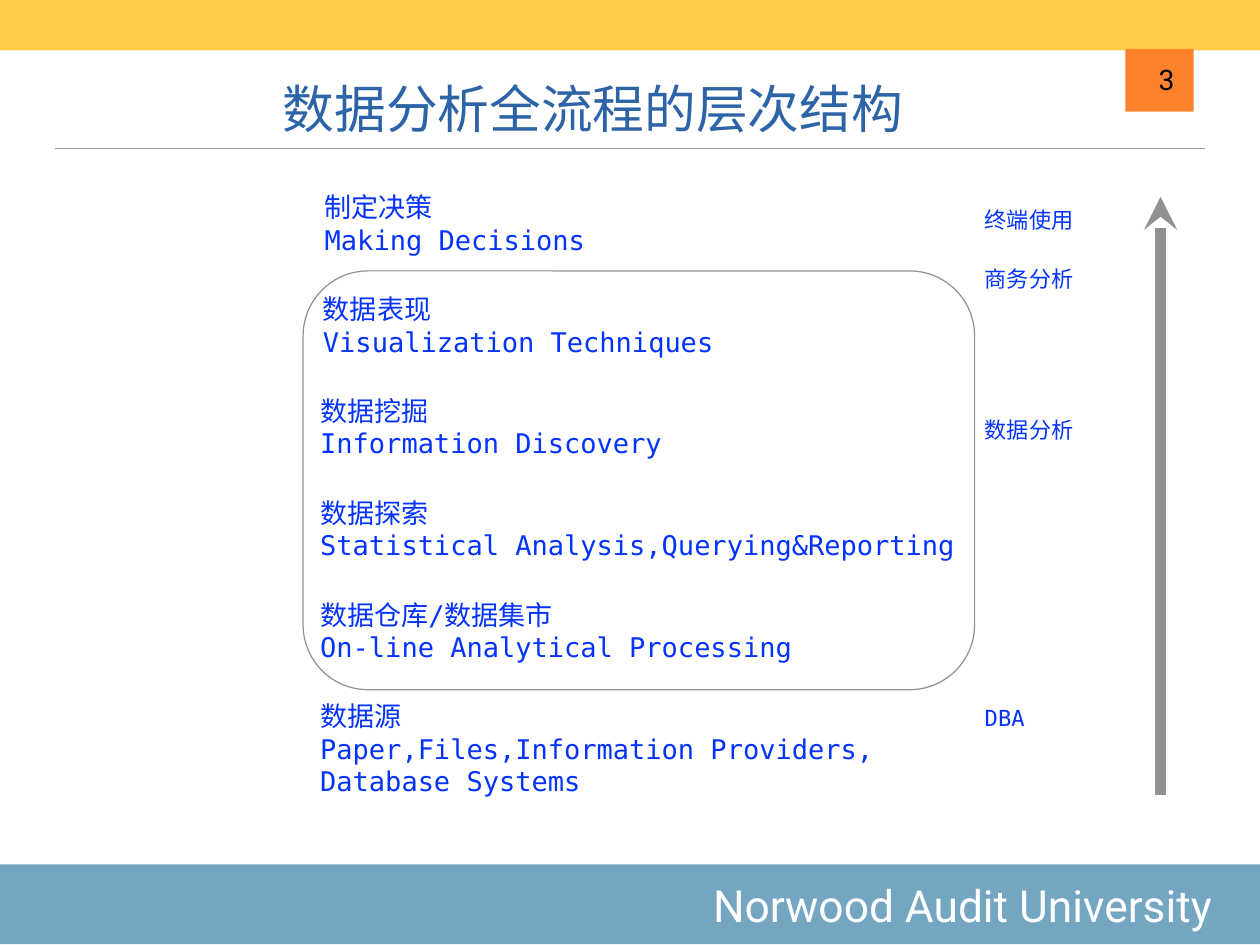
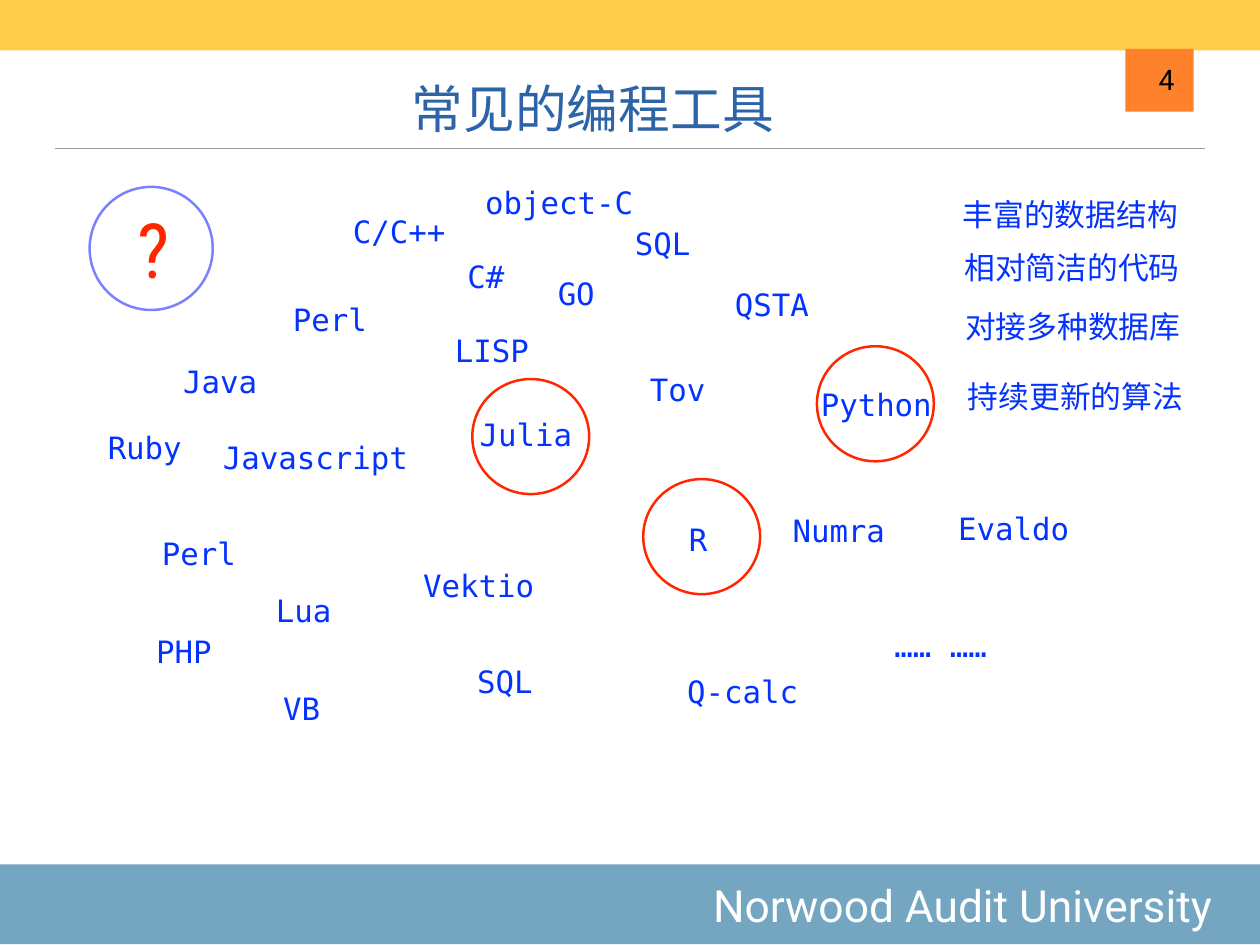
from lxml import etree
from pptx import Presentation, util as u
from pptx.dml.color import RGBColor
from pptx.enum import shapes, text
from pptx.oxml.ns import qn

ALIGN = text.PP_ALIGN
ANCHOR = text.MSO_ANCHOR
SHAPE = shapes.MSO_SHAPE


def rgb(value):
    return RGBColor.from_string(value)


def put_text(frame, content, size=25, font="DejaVu Sans Mono", color="0433FF",
             align=ALIGN.LEFT, anchor=ANCHOR.MIDDLE, wrap=True, right_inset=0.14):
    frame.word_wrap = wrap
    frame.vertical_anchor = anchor
    frame.margin_left = frame.margin_top = frame.margin_bottom = u.Cm(0.14)
    frame.margin_right = u.Cm(right_inset)
    for index, line in enumerate(content.split("\n")):
        paragraph = frame.paragraphs[0] if index == 0 else frame.add_paragraph()
        paragraph.alignment = align
        run = paragraph.add_run()
        run.text = line
        run.font.size = u.Pt(size)
        run.font.name = font
        run.font.color.rgb = rgb(color)


class Deck:
    WIDTH, HEIGHT = 36.12, 27.1
    HEADING_FONT = "Roboto"
    YELLOW, ORANGE, STEEL = "FECC49", "FE812C", "74A6C2"
    TITLE, RULE, GRAY, RED, LILAC = "2C64A7", "9A9A9A", "919191", "FF2600", "7A81FF"

    def __init__(self):
        self.presentation = Presentation()
        self.presentation.slide_width = u.Cm(self.WIDTH)
        self.presentation.slide_height = u.Cm(self.HEIGHT)
        self.slide = None

    def new_slide(self, title, number):
        self.slide = self.presentation.slides.add_slide(self.presentation.slide_layouts[6])
        self.line((1.57, 4.27), (34.54, 4.27), self.RULE, 1)
        footer = self.shape(SHAPE.RECTANGLE, -0.05, 24.79, 36.22, 2.29, fill=self.STEEL)
        put_text(footer.text_frame, "Norwood Audit University", size=36, font=self.HEADING_FONT,
                 color="FFFFFF", align=ALIGN.RIGHT, right_inset=1.42)
        self.shape(SHAPE.RECTANGLE, -0.05, 0, 36.22, 1.45, fill=self.YELLOW)
        self.shape(SHAPE.RECTANGLE, 32.26, 1.4, 1.96, 1.8, fill=self.ORANGE)
        self.label(title, 2.11, 1.57, 29.77, 2.54, size=42, font=self.HEADING_FONT,
                   color=self.TITLE, align=ALIGN.CENTER, anchor=ANCHOR.BOTTOM)
        self.label(str(number), 33.05, 1.65, 0.76, 1.24, size=23, font=self.HEADING_FONT,
                   color="000000", align=ALIGN.RIGHT, anchor=ANCHOR.BOTTOM, wrap=False)

    def label(self, content, left, top, width, height, **style):
        box = self.slide.shapes.add_textbox(u.Cm(left), u.Cm(top), u.Cm(width), u.Cm(height))
        put_text(box.text_frame, content, **style)

    def shape(self, kind, left, top, width, height, fill=None, outline=None, weight=1):
        item = self.slide.shapes.add_shape(kind, u.Cm(left), u.Cm(top), u.Cm(width), u.Cm(height))
        item.shadow.inherit = False
        if fill:
            item.fill.solid()
            item.fill.fore_color.rgb = rgb(fill)
        else:
            item.fill.background()
        if outline:
            item.line.color.rgb = rgb(outline)
            item.line.width = u.Pt(weight)
        else:
            item.line.fill.background()
        return item

    def line(self, start, end, color, weight, arrow=None):
        ends = [u.Cm(value) for value in (*start, *end)]
        connector = self.slide.shapes.add_connector(shapes.MSO_CONNECTOR.STRAIGHT, *ends)
        connector.line.color.rgb = rgb(color)
        connector.line.width = u.Pt(weight)
        if arrow:
            etree.SubElement(connector.line._get_or_add_ln(), qn("a:tailEnd"), type=arrow)
        etree.SubElement(connector._element.spPr, qn("a:effectLst"))


def build_layers(deck):
    deck.new_slide("数据分析全流程的层次结构", 3)
    layers = [
        (9.17, "制定决策\nMaking Decisions"),
        (9.12, "数据表现\nVisualization Techniques"),
        (9.04, "数据挖掘\nInformation Discovery"),
        (9.04, "数据探索\nStatistical Analysis,Querying&Reporting"),
        (9.04, "数据仓库/数据集市\nOn-line Analytical Processing"),
        (9.04, "数据源\nPaper,Files,Information Providers, Database Systems"),
    ]
    for level, (left, layer) in enumerate(layers):
        deck.label(layer, left, 5.33 + 2.92 * level, 19.28, 2.34, size=22, anchor=ANCHOR.TOP)

    roles = [("终端使用", 5.77), ("商务分析", 7.47), ("数据分析", 11.79), ("DBA", 20.07)]
    for role, top in roles:
        deck.label(role, 28.09, top, 7.21, 1.17, size=18, anchor=ANCHOR.TOP)

    deck.line((33.27, 22.81), (33.27, 5.64), deck.GRAY, 9, arrow="stealth")
    analysis_frame = deck.shape(SHAPE.ROUNDED_RECTANGLE, 8.69, 7.77, 19.25, 12.01,
                                outline=deck.GRAY)
    analysis_frame.adjustments[0] = 0.155


def build_tools(deck):
    deck.new_slide("常见的编程工具", 4)
    tools_by_width = {
        4.01: [
            ("C/C++", 9.98, 5.94), ("Perl", 8.26, 8.48), ("Java", 5.11, 10.24),
            ("Ruby", 2.95, 12.14), ("Python", 23.39, 10.9), ("Julia", 13.61, 11.76),
            ("Perl", 4.5, 15.19), ("Vektio", 11.99, 16.1), ("Numra", 22.58, 14.53),
            ("Tov", 18.49, 10.49), ("QSTA", 20.93, 8.05), ("Q-calc", 19.56, 19.13),
            ("SQL", 18.06, 6.3), ("R", 19.61, 14.78), ("LISP", 12.9, 9.37),
            ("…… ……", 25.5, 17.83), ("Evaldo", 27.33, 14.45), ("SQL", 13.54, 18.85),
        ],
        2.9: [("C#", 13.26, 7.24), ("VB", 7.98, 19.63), ("PHP", 4.34, 17.98), ("GO", 15.85, 7.72)],
        4.98: [("object-C", 13.77, 5.11), ("Lua", 7.77, 16.81)],
        6.05: [("Javascript", 6.25, 12.42)],
    }
    for width, tools in tools_by_width.items():
        for tool, left, top in tools:
            deck.label(tool, left, top, width, 1.37)

    deck.shape(SHAPE.OVAL, 2.57, 5.36, 3.53, 3.53, outline=deck.LILAC, weight=2)
    deck.label("?", 3.81, 5.72, 1.57, 2.79, size=62, font="Roboto Condensed", color=deck.RED)
    for left, top in [(18.44, 13.74), (23.42, 9.93), (13.54, 10.87)]:
        deck.shape(SHAPE.OVAL, left, top, 3.35, 3.3, outline=deck.RED, weight=2)

    strengths = [
        ("丰富的数据结构", 27.46, 5.36), ("相对简洁的代码", 27.51, 6.88),
        ("对接多种数据库", 27.53, 8.59), ("持续更新的算法", 27.61, 10.59),
    ]
    for strength, left, top in strengths:
        deck.label(strength, left, top, 7.47, 1.55)


def main():
    deck = Deck()
    build_layers(deck)
    build_tools(deck)
    deck.presentation.save("out.pptx")


if __name__ == "__main__":
    main()
